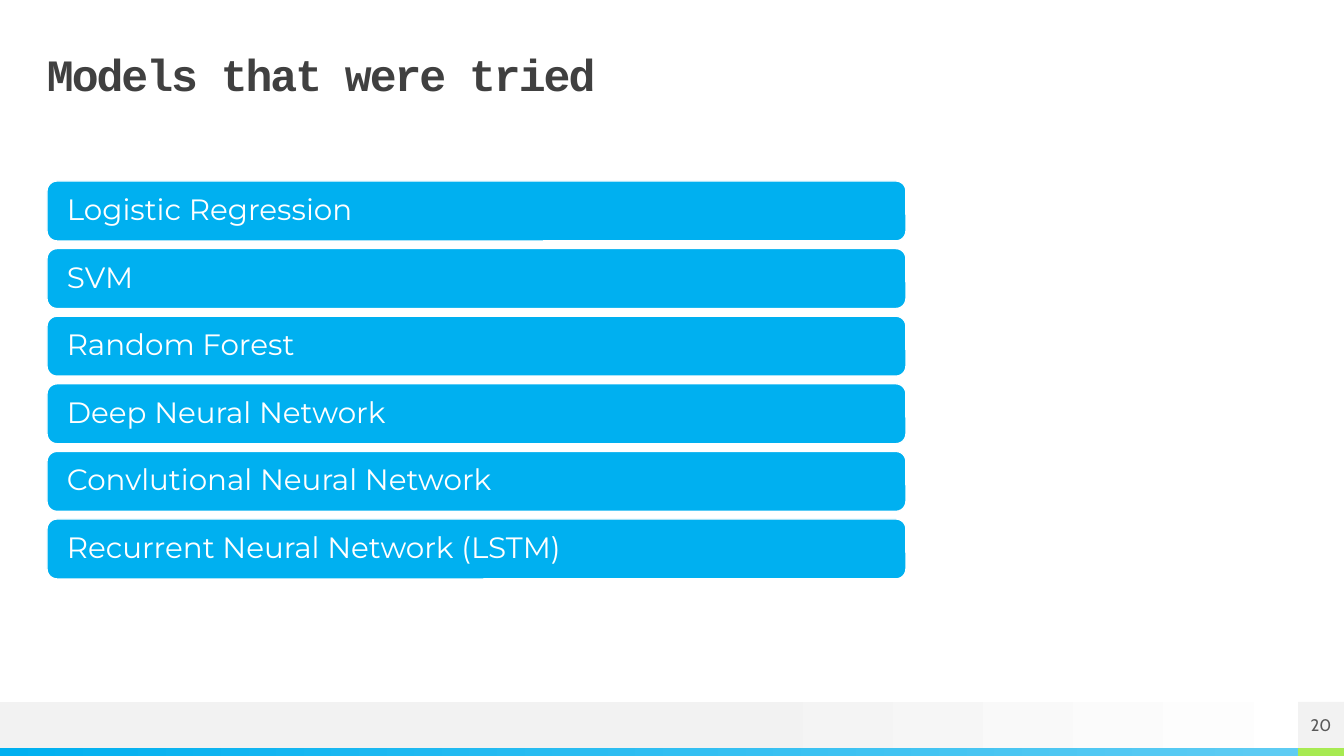
from pptx import Presentation
from pptx.dml.color import RGBColor
from pptx.enum.shapes import MSO_SHAPE
from pptx.enum.text import MSO_ANCHOR, MSO_AUTO_SIZE, PP_ALIGN
from pptx.util import Pt

TITLE = "Models that were tried"
MODELS = [
    "Logistic Regression",
    "SVM",
    "Random Forest",
    "Deep Neural Network",
    "Convlutional Neural Network",
    "Recurrent Neural Network (LSTM)",
]
PAGE = "20"
COLORS = {
    "blue": "00B0F0", "light_blue": "5ECCF3", "green": "A7EA52", "gray": "F2F2F2",
    "white": "FFFFFF", "title": "404040", "page": "595959",
}

# Lengths in px
EMU_PER_PX = 914400 / 100.8
SLIDE_W, SLIDE_H = 1344, 756
MARGIN = 47
FOOTER_TOP, STRIPE_TOP, PAGE_LEFT = 702, 748, 1298
BAR_W, BAR_H = 859, 60
FIRST_BAR_TOP, LAST_BAR_TOP = 181, 519


def px(n):
    return round(n * EMU_PER_PX)


def rgb(name):
    return RGBColor.from_string(COLORS[name])


def add_box(s, left, top, width, height, fill, shape=MSO_SHAPE.RECTANGLE, line=None):
    """Add a shape; fill is a colour name or a list of (position, colour name)."""
    sp = s.shapes.add_shape(shape, px(left), px(top), px(width), px(height))
    sp.shadow.inherit = False
    if isinstance(fill, str):
        sp.fill.solid()
        sp.fill.fore_color.rgb = rgb(fill)
    else:
        sp.fill.gradient()
        sp.fill.gradient_angle = 0
        for stop, (position, color) in zip(sp.fill.gradient_stops, fill):
            stop.position = position
            stop.color.rgb = rgb(color)
    if line:
        sp.line.color.rgb = rgb(line)
        sp.line.width = Pt(1)
    else:
        sp.line.fill.background()
    return sp


def write(sp, text, font, size, color, bold=False, align=PP_ALIGN.LEFT,
          anchor=MSO_ANCHOR.MIDDLE, inset=0, line_spacing=1.0, tracking=None):
    tf = sp.text_frame
    tf.word_wrap = True
    tf.auto_size = MSO_AUTO_SIZE.NONE
    tf.vertical_anchor = anchor
    tf.margin_left = px(inset)
    tf.margin_top = tf.margin_right = tf.margin_bottom = 0
    p = tf.paragraphs[0]
    p.alignment = align
    p.line_spacing = line_spacing
    r = p.add_run()
    r.text = text
    r.font.name = font
    r.font.size = Pt(size)
    r.font.bold = bold
    r.font.color.rgb = rgb(color)
    if tracking is not None:
        r.font._element.set("spc", str(round(tracking * 100)))
    return p


def main():
    prs = Presentation()
    prs.slide_width, prs.slide_height = px(SLIDE_W), px(SLIDE_H)
    s = prs.slides.add_slide(prs.slide_layouts[5])

    footer_h, stripe_h = STRIPE_TOP - FOOTER_TOP, SLIDE_H - STRIPE_TOP
    page_w = SLIDE_W - PAGE_LEFT
    add_box(s, 0, FOOTER_TOP, SLIDE_W, footer_h, [(0.53, "gray"), (1, "white")])
    add_box(s, 0, STRIPE_TOP, PAGE_LEFT, stripe_h, [(0, "blue"), (1, "light_blue")])
    add_box(s, PAGE_LEFT, STRIPE_TOP, page_w, stripe_h, "green")
    page = add_box(s, PAGE_LEFT, FOOTER_TOP, page_w, footer_h, "gray")
    write(page, PAGE, "Cabin", 12, "page", align=PP_ALIGN.CENTER)

    title = s.shapes.title
    title.left, title.top, title.width, title.height = map(px, (MARGIN, 47, 1250, 47))
    p = write(title, TITLE, "Courier New", 32, "title", bold=True,
              anchor=MSO_ANCHOR.TOP, tracking=-1.5)
    p.space_before, p.space_after = Pt(10), Pt(5)

    pitch = (LAST_BAR_TOP - FIRST_BAR_TOP) / (len(MODELS) - 1)
    for i, model in enumerate(MODELS):
        bar = add_box(s, MARGIN, FIRST_BAR_TOP + i * pitch, BAR_W, BAR_H, "blue",
                      MSO_SHAPE.ROUNDED_RECTANGLE, line="white")
        write(bar, model, "Montserrat", 21, "white", inset=17, line_spacing=0.9)

    prs.save("out.pptx")


if __name__ == "__main__":
    main()
